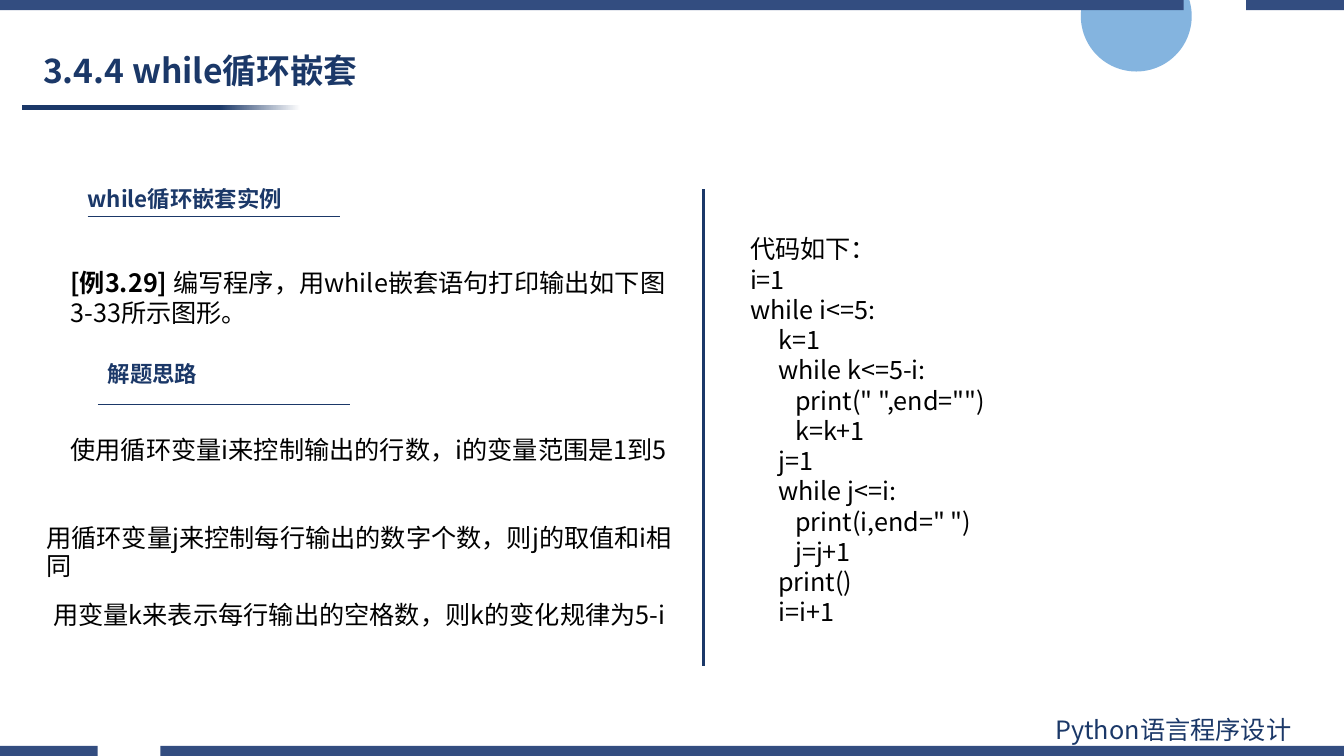
from lxml import etree
from pptx import Presentation
from pptx.dml.color import RGBColor
from pptx.enum.shapes import MSO_CONNECTOR, MSO_SHAPE
from pptx.enum.text import MSO_ANCHOR, PP_ALIGN
from pptx.oxml.ns import qn
from pptx.util import Inches, Pt

STRAIGHT = MSO_CONNECTOR.STRAIGHT
RECTANGLE, OVAL = MSO_SHAPE.RECTANGLE, MSO_SHAPE.OVAL
MIDDLE, JUSTIFY = MSO_ANCHOR.MIDDLE, PP_ALIGN.JUSTIFY

# Content
TITLE = "3.4.4 while循环嵌套"
FOOTER = "Python语言程序设计"
HEADINGS = [  # text, text left and top, rule left and top
    ("while循环嵌套实例", 0.77, 1.79, 0.87, 2.15),
    ("解题思路", 0.97, 3.52, 0.97, 4.01),
]
EXAMPLE = ("[例3.29] ", "编写程序，用while嵌套语句打印输出如下图3-33所示图形。")
IDEAS = [  # text, left, top, width, line spacing in points
    ("使用循环变量i来控制输出的行数，i的变量范围是1到5", 0.6, 4.3, 6.19, 19),
    ("用循环变量j来控制每行输出的数字个数，则j的取值和i相同", 0.36, 5.15, 6.65, 20),
    ("用变量k来表示每行输出的空格数，则k的变化规律为5-i", 0.43, 5.92, 6.46, 20),
]
CODE_INTRO = "代码如下："
CODE = """i=1
while i<=5:
     k=1
     while k<=5-i:
        print(" ",end="")
        k=k+1
     j=1
     while j<=i:
        print(i,end=" ")
        j=j+1
     print()
     i=i+1"""

THEME = {
    "font": "Noto Sans CJK SC", "intro_font": "Calibri",
    "navy": RGBColor.from_string("1B3868"), "bar": RGBColor.from_string("334D80"),
    "circle": RGBColor.from_string("5B9BD5"), "black": RGBColor.from_string("000000"),
    "white": RGBColor.from_string("FFFFFF"),
    "title": 24, "heading": 16, "body": 18,
}
WIDTH, HEIGHT, BAR = 13.33, 7.5, 0.1
GAP_START, GAP_END = 0.97, 1.59  # break in the edge bars, from the outer side

deck = Presentation()
deck.slide_width, deck.slide_height = Inches(WIDTH), Inches(HEIGHT)
page = deck.slides.add_slide(deck.slide_layouts[6])


def add_block(kind, left, top, width, height, color):
    shape = page.shapes.add_shape(kind, *map(Inches, (left, top, width, height)))
    shape.shadow.inherit = False
    shape.line.fill.background()
    shape.fill.solid()
    shape.fill.fore_color.rgb = color
    return shape


def add_rule(x1, y1, x2, y2, points):
    rule = page.shapes.add_connector(STRAIGHT, *map(Inches, (x1, y1, x2, y2)))
    rule.line.color.rgb = THEME["navy"]
    rule.line.width = Pt(points)
    etree.SubElement(rule._element.spPr, qn("a:effectLst"))


def style(span, size, color, bold=False, font=THEME["font"]):
    span.font.name, span.font.size, span.font.bold = font, Pt(size), bold
    span.font.color.rgb = color
    east_asian = etree.SubElement(span._r.get_or_add_rPr(), qn("a:ea"))
    east_asian.set("typeface", THEME["font"])


def add_text(text, left, top, width, height, size, color, bold=False):
    box = page.shapes.add_textbox(*map(Inches, (left, top, width, height)))
    frame = box.text_frame
    frame.word_wrap = True
    frame.text = text
    for para in frame.paragraphs:
        for span in para.runs:
            style(span, size, color, bold)
    return frame


# Circle, title underline and edge bars
circle = add_block(OVAL, 10.72, -0.39, 1.1, 1.1, THEME["circle"])
circle_color = circle._element.spPr.find(qn("a:solidFill"))[0]
etree.SubElement(circle_color, qn("a:alpha")).set("val", "75000")

underline = add_block(RECTANGLE, 0.22, 1.04, 2.76, 0.05, THEME["navy"])
underline.fill.gradient()
underline.fill.gradient_angle = 0
for stop, position, color in zip(underline.fill.gradient_stops, (0.71, 1),
                                 (THEME["navy"], THEME["white"])):
    stop.position, stop.color.rgb = position, color

for start, end in ((0, GAP_START), (GAP_END, WIDTH)):
    add_block(RECTANGLE, start, HEIGHT - BAR, end - start, BAR, THEME["bar"])
    add_block(RECTANGLE, WIDTH - end, 0, end - start, BAR, THEME["bar"])

# Title and footer
add_text(FOOTER, 10.37, 7.04, 2.94, 0.4, THEME["body"], THEME["navy"])
title = add_text(TITLE, 0.33, 0.44, 3.57, 0.56, THEME["title"], THEME["navy"], True)
title.vertical_anchor = MIDDLE
title.paragraphs[0].line_spacing = 0.9

# Left column: headings, example and ideas
for text, left, top, rule_left, rule_top in HEADINGS:
    add_text(text, left, top, 3.4, 0.37, THEME["heading"], THEME["navy"], True)
    add_rule(rule_left, rule_top, rule_left + 2.5, rule_top, 0.5)

label, task = EXAMPLE
example = add_text(label, 0.6, 2.6, 6.19, 0.71, THEME["body"], THEME["black"], True)
task_span = example.paragraphs[0].add_run()
task_span.text = task
style(task_span, THEME["body"], THEME["black"])

for text, left, top, width, spacing in IDEAS:
    idea = add_text(text, left, top, width, 0.38, THEME["body"], THEME["black"])
    idea.paragraphs[0].line_spacing = Pt(spacing)

# Divider and code
add_rule(6.98, 1.88, 6.98, 6.61, 2)
code = add_text(CODE_INTRO + "\n" + CODE, 7.34, 2.27, 5.48, 4.04,
                THEME["body"], THEME["black"])
intro = code.paragraphs[0]
intro.alignment = JUSTIFY
intro.runs[0].font.name = THEME["intro_font"]

deck.save("out.pptx")
